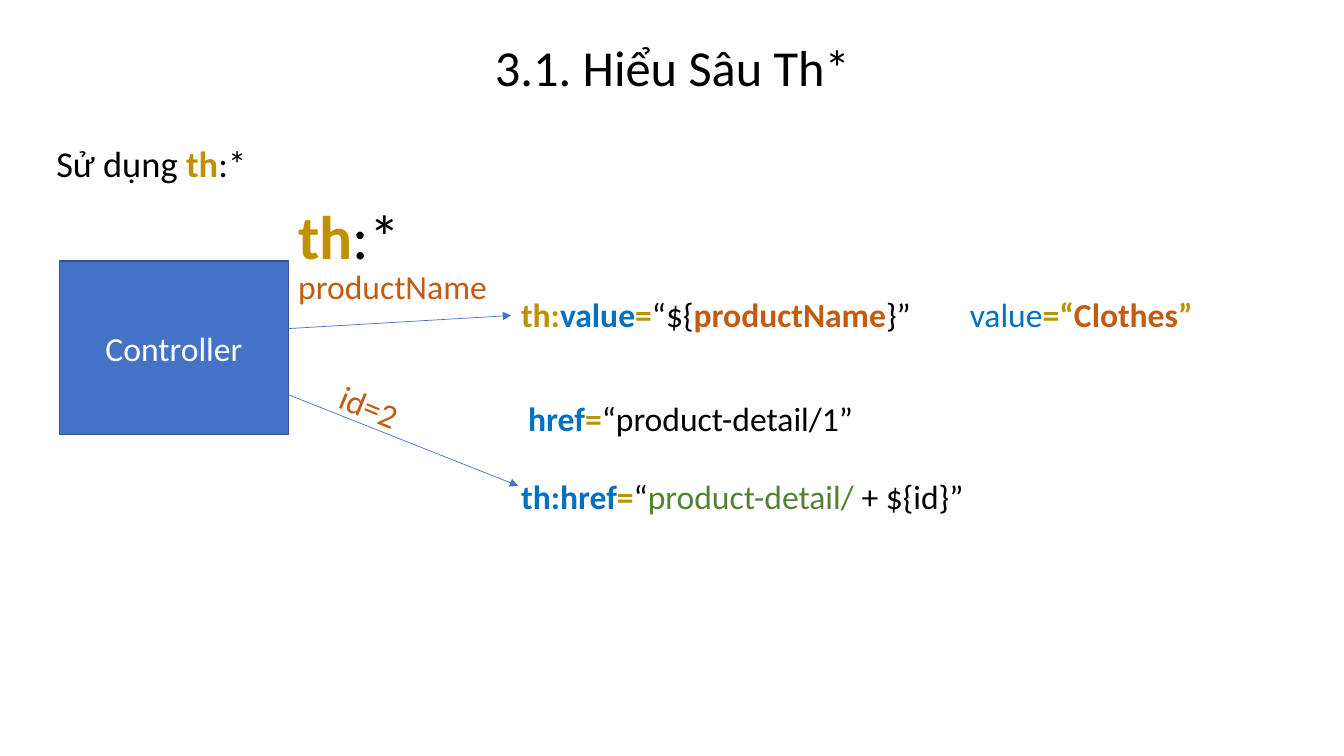
from collections import namedtuple

from lxml.etree import SubElement
from pptx import Presentation
from pptx.dml.color import RGBColor
from pptx.enum.shapes import MSO_CONNECTOR, MSO_SHAPE
from pptx.enum.text import MSO_ANCHOR, PP_ALIGN
from pptx.oxml.ns import qn
from pptx.util import Inches, Pt

BLACK = RGBColor(0x00, 0x00, 0x00)
WHITE = RGBColor(0xFF, 0xFF, 0xFF)
GOLD = RGBColor(0xBF, 0x90, 0x00)
BLUE = RGBColor(0x00, 0x70, 0xC0)
ORANGE = RGBColor(0xC5, 0x5A, 0x11)
GREEN = RGBColor(0x54, 0x82, 0x35)
BOX_FILL = RGBColor(0x44, 0x72, 0xC4)
BOX_LINE = RGBColor(0x32, 0x54, 0x91)

FONT = "Calibri"
CODE_SIZE = 24
LINE_HEIGHT = 0.5

Box = namedtuple("Box", "left top width height")
SLIDE = Box(0, 0, 13.33, 7.5)
TITLE = Box(0.46, 0.41, 12.42, 0.6)
BODY = Box(0.46, 1.4, 12.42, 5.82)
CONTROLLER = Box(0.59, 2.59, 2.27, 1.72)
EXAMPLES = Box(5.07, 2.87, 6.89, 2.3)

TH_PREFIX = [("th", GOLD, True), (":*", BLACK, False)]


def inches(box):
    return [Inches(length) for length in box]


def format_paragraph(paragraph, size, color=BLACK):
    paragraph.font.name = FONT
    paragraph.font.size = Pt(size)
    paragraph.font.color.rgb = color


def add_text(slide, box, runs, size=CODE_SIZE, wrap=False):
    """Add a one-line text box whose runs are (text, color, bold)."""
    shape = slide.shapes.add_textbox(*inches(box))
    shape.text_frame.word_wrap = wrap
    paragraph = shape.text_frame.paragraphs[0]
    format_paragraph(paragraph, size)
    for text, color, bold in runs:
        run = paragraph.add_run()
        run.text = text
        run.font.color.rgb = color
        run.font.bold = bold
    return shape


def add_arrow(slide, start, end):
    connector = slide.shapes.add_connector(
        MSO_CONNECTOR.STRAIGHT, *inches(start + end))
    connector.line.color.rgb = BOX_FILL
    connector.line.width = Pt(0.5)
    properties = connector._element.spPr
    SubElement(properties.find(qn("a:ln")), qn("a:tailEnd"), type="triangle")
    SubElement(properties, qn("a:effectLst"))


def add_title(slide, box, text):
    title = slide.shapes.title
    title.left, title.top, title.width, title.height = inches(box)
    title.text_frame.text = text
    title.text_frame.vertical_anchor = MSO_ANCHOR.MIDDLE
    paragraph = title.text_frame.paragraphs[0]
    paragraph.alignment = PP_ALIGN.CENTER
    paragraph.line_spacing = 0.8
    format_paragraph(paragraph, 36)


def add_body(slide, box):
    body = add_text(slide, box, [("Sử dụng ", BLACK, False)] + TH_PREFIX,
                    26, wrap=True)
    paragraph = body.text_frame.paragraphs[0]
    paragraph.line_spacing = 0.9
    paragraph.space_before = Pt(10)


def add_controller(slide, box):
    """Add the controller with the labels of the values it sends."""
    shape = slide.shapes.add_shape(MSO_SHAPE.RECTANGLE, *inches(box))
    shape.shadow.inherit = False
    shape.fill.solid()
    shape.fill.fore_color.rgb = BOX_FILL
    shape.line.color.rgb = BOX_LINE
    shape.line.width = Pt(1)
    shape.text_frame.text = "Controller"
    shape.text_frame.vertical_anchor = MSO_ANCHOR.MIDDLE
    paragraph = shape.text_frame.paragraphs[0]
    paragraph.alignment = PP_ALIGN.CENTER
    format_paragraph(paragraph, CODE_SIZE, WHITE)

    right = box.left + box.width
    add_text(slide, Box(right, box.top - 0.68, 1.22, 0.84), TH_PREFIX, 44)
    add_text(slide, Box(right, box.top, 2.13, LINE_HEIGHT),
             [("productName", ORANGE, False)])
    id_label = add_text(
        slide, Box(right + 0.41, box.top + 1.19, 0.79, LINE_HEIGHT),
        [("id=2", ORANGE, False)])
    id_label.rotation = 22.2


def add_examples(slide, box):
    """Add code lines as (left offset, top offset, width, runs)."""
    lines = [
        (0, 0, 4.14, [("th:", GOLD, True), ("value", BLUE, True),
                      ("=", GOLD, True), ("“${", BLACK, False),
                      ("productName", ORANGE, True), ("}”", BLACK, False)]),
        (4.45, 0, 2.44, [("value", BLUE, False), ("=“", GOLD, True),
                         ("Clothes", ORANGE, True), ("”", GOLD, True)]),
        (0.07, 1.03, 3.47, [("href", BLUE, True), ("=", GOLD, True),
                            ("“product-detail/1”", BLACK, False)]),
        (0, 1.8, 4.69, [("th:href", BLUE, True), ("=", GOLD, True),
                        ("“", BLACK, False),
                        ("product-detail/", GREEN, False),
                        (" + ${id}”", BLACK, False)]),
    ]
    for left, top, width, runs in lines:
        add_text(slide, Box(box.left + left, box.top + top, width, LINE_HEIGHT),
                 runs)


def add_flows(slide, source, target):
    """Draw the arrows from the controller to the templates using its values."""
    right = source.left + source.width
    add_arrow(slide, (right, source.top + 0.67),
              (target.left, target.top + 0.26))
    add_arrow(slide, (right - 0.04, source.top + 1.31),
              (target.left + 0.07, target.top + 1.95))


def main():
    presentation = Presentation()
    presentation.slide_width = Inches(SLIDE.width)
    presentation.slide_height = Inches(SLIDE.height)
    slide = presentation.slides.add_slide(presentation.slide_layouts[5])
    add_title(slide, TITLE, "3.1. Hiểu Sâu Th*")
    add_body(slide, BODY)
    add_controller(slide, CONTROLLER)
    add_examples(slide, EXAMPLES)
    add_flows(slide, CONTROLLER, EXAMPLES)
    presentation.save("out.pptx")


if __name__ == "__main__":
    main()
